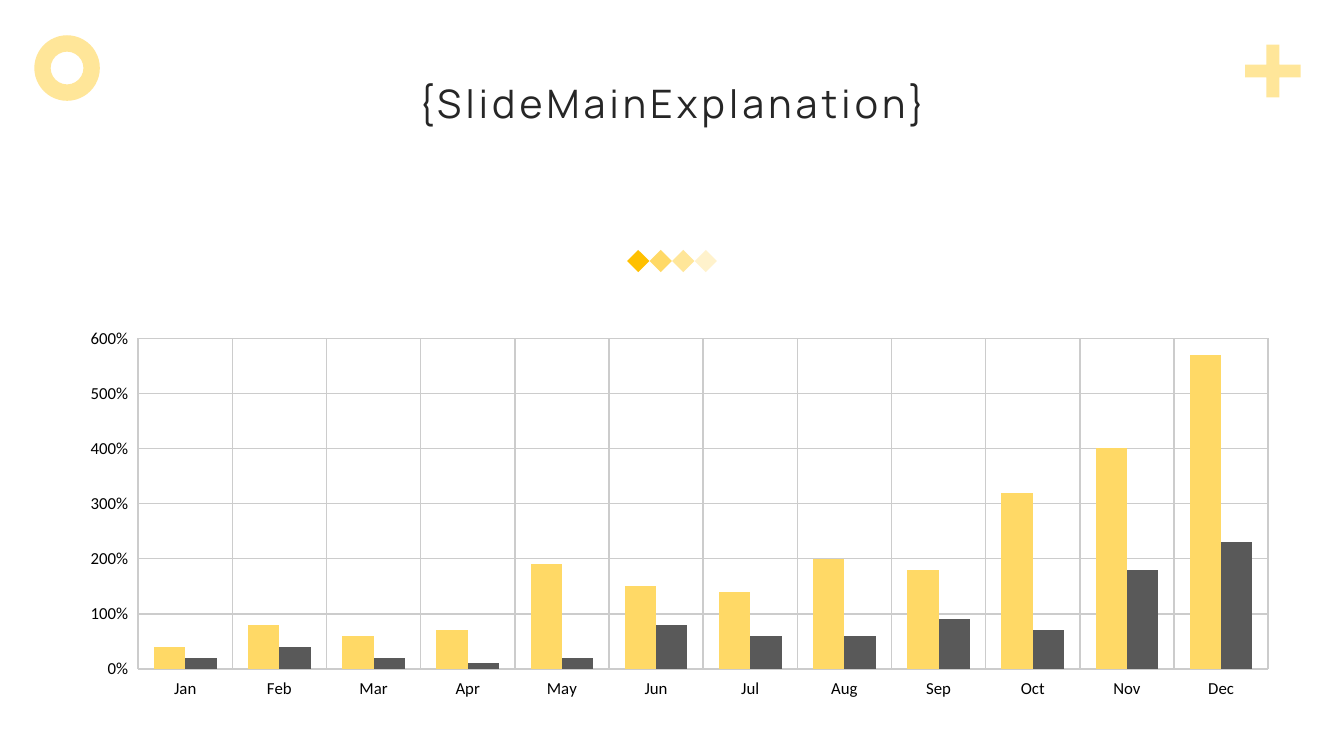
from lxml import etree
from pptx import Presentation
from pptx.chart.data import CategoryChartData
from pptx.dml.color import RGBColor
from pptx.enum.chart import XL_CHART_TYPE, XL_TICK_MARK
from pptx.enum.shapes import MSO_SHAPE
from pptx.enum.text import PP_ALIGN
from pptx.oxml.ns import qn
from pptx.util import Inches, Pt

BARS = XL_CHART_TYPE.COLUMN_CLUSTERED
OUT = XL_TICK_MARK.OUTSIDE
PLUS = MSO_SHAPE.MATH_PLUS
RING = MSO_SHAPE.DONUT
GEM = MSO_SHAPE.DIAMOND
CENTER = PP_ALIGN.CENTER


def color(code):
    return RGBColor.from_string(code)


def write(text, box, size, font, fill, space=0, align=CENTER):
    frame = slide.shapes.add_textbox(*map(Inches, box)).text_frame
    frame.word_wrap = True
    para = frame.paragraphs[0]
    para.alignment = align
    run = para.add_run()
    run.text = text
    run.font.size = Pt(size)
    run.font.name = font
    run.font.color.rgb = color(fill)
    run.font._element.set("spc", str(space * 100))


deck = Presentation()
deck.slide_width, deck.slide_height = Inches(13.33), Inches(7.5)
slide = deck.slides.add_slide(deck.slide_layouts[6])

# Corner marks and the row of diamonds
marks = [(PLUS, 12.25, 0.35, 0.75, 0.71, "FFE699"),
         (RING, 0.34, 0.35, 0.65, 0.65, "FFE699")]
for i, tint in enumerate(["FFC000", "FFD966", "FFE699", "FFF2CC"]):
    marks.append((GEM, 6.22 + i * 0.67 / 3, 2.48, 0.22, 0.22, tint))
for kind, left, top, width, height, tint in marks:
    mark = slide.shapes.add_shape(
        kind, Inches(left), Inches(top), Inches(width), Inches(height))
    mark.shadow.inherit = False
    mark.fill.solid()
    mark.fill.fore_color.rgb = color(tint)
    mark.line.fill.background()
    if kind == PLUS:
        mark.adjustments[0] = 0.18

# Title
write("{SlideMainExplanation}", (2.74, 0.74, 7.85, 1.51),
      size=28, font="Manrope", fill="262626", space=3)

# Monthly chart
data = CategoryChartData()
data.categories = "Jan Feb Mar Apr May Jun Jul Aug Sep Oct Nov Dec".split()
data.add_series("Series 1", [40, 80, 60, 70, 190, 150,
                             140, 200, 180, 320, 400, 570])
data.add_series("Series 2", [20, 40, 20, 10, 20, 80,
                             60, 60, 90, 70, 180, 230])
chart = slide.shapes.add_chart(BARS, Inches(0.57), Inches(2.81),
                               Inches(12.13), Inches(4.37), data).chart
chart.has_title = False
chart.has_legend = False
chart.font.size = Pt(12)
chart.font.name = "Calibri"
chart.font.color.rgb = color("000000")

plot = chart.plots[0]
plot.gap_width = 100
plot.overlap = 0
plot.vary_by_categories = False
for series, tint in zip(plot.series, ["FFD966", "595959"]):
    series.format.fill.solid()
    series.format.fill.fore_color.rgb = color(tint)

# Axes and grid
for axis in (chart.category_axis, chart.value_axis):
    axis.major_tick_mark = OUT
    axis.format.line.fill.background()
    axis.has_major_gridlines = True
    grid = axis.major_gridlines.format.line
    grid.width = Pt(1)
    grid.color.rgb = color("CCCCCC")
scale = chart.value_axis
scale.minimum_scale, scale.maximum_scale = 0, 600
scale.major_unit = 100
scale.tick_labels.number_format = '0"%"'
scale.tick_labels.number_format_is_linked = False

# Fixed plot area
area = chart._chartSpace.find(".//" + qn("c:plotArea"))
for old in area.findall(qn("c:layout")):
    area.remove(old)
layout = etree.Element(qn("c:layout"))
area.insert(0, layout)
manual = etree.SubElement(layout, qn("c:manualLayout"))
for tag, val in [("layoutTarget", "inner"), ("xMode", "edge"),
                 ("yMode", "edge"), ("x", "0.066"), ("y", "0.125"),
                 ("w", "0.924"), ("h", "0.751")]:
    etree.SubElement(manual, qn("c:" + tag)).set("val", val)

deck.save("out.pptx")
